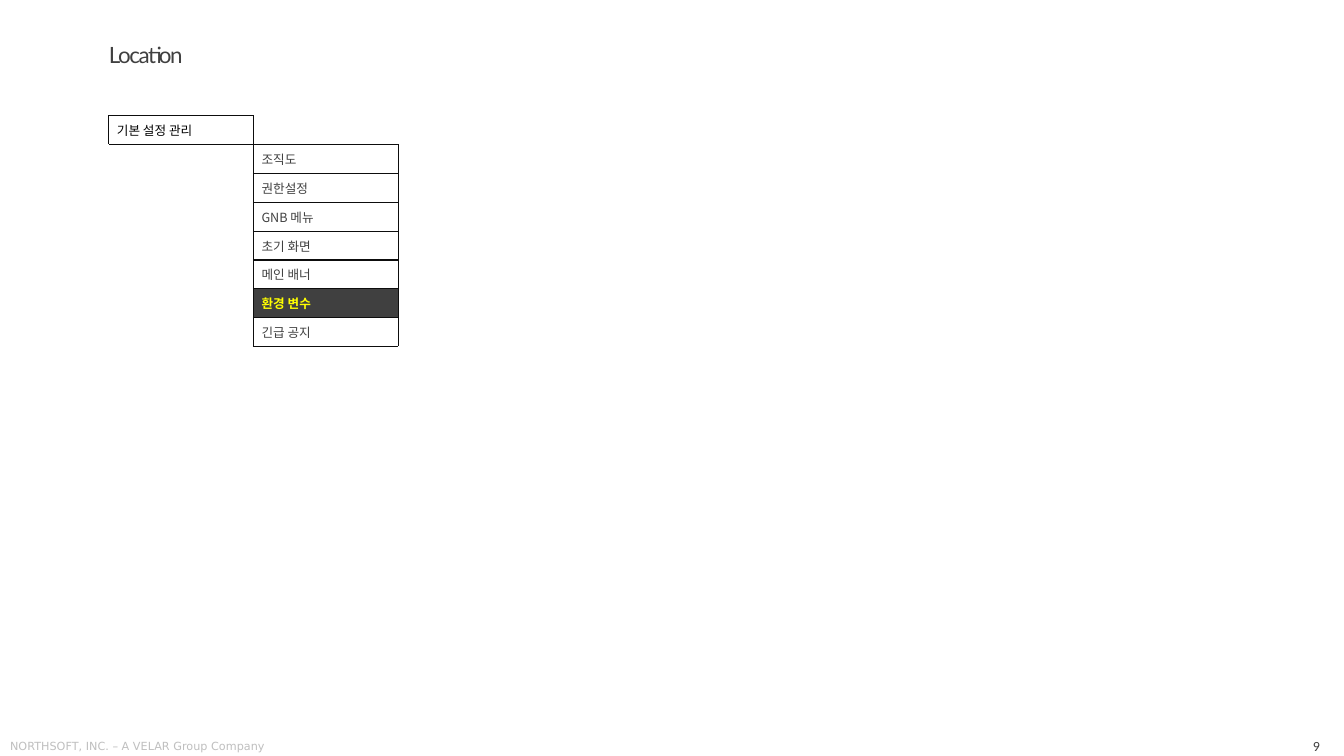
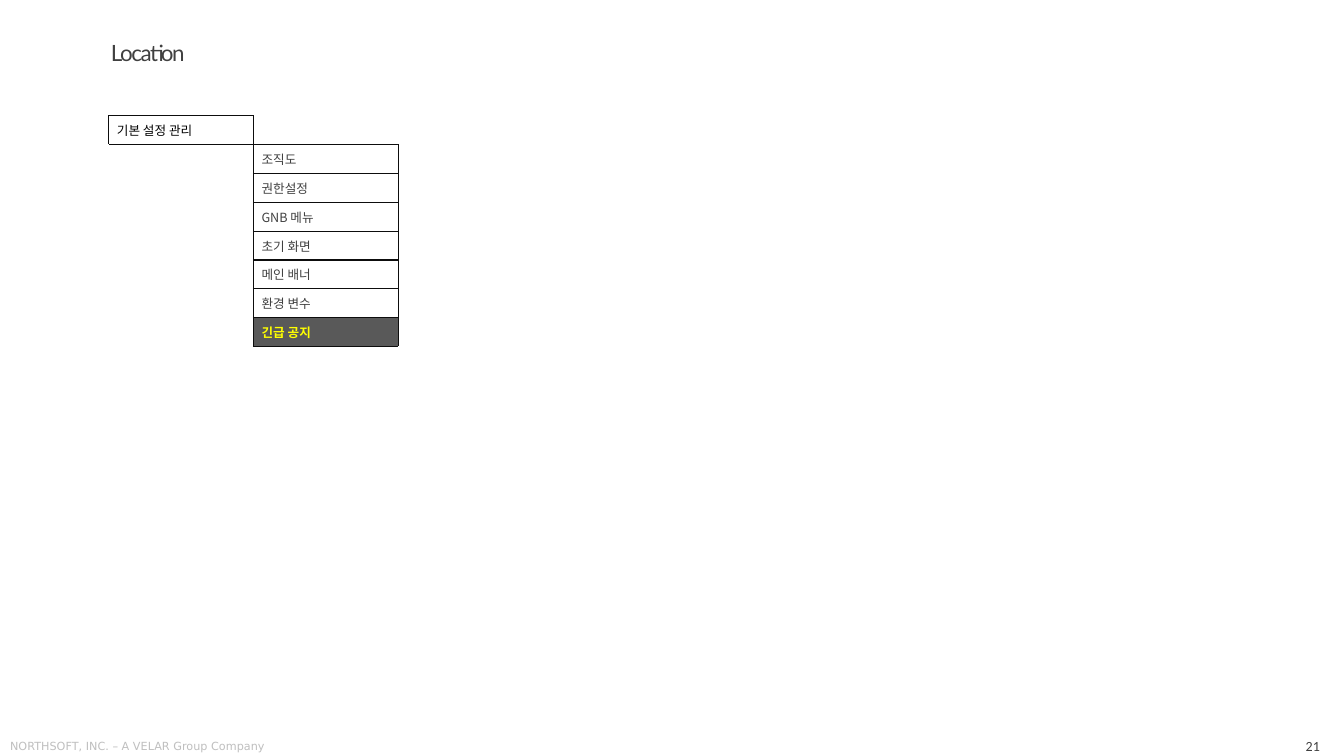
from dataclasses import dataclass

from lxml.etree import SubElement
from pptx import Presentation
from pptx.dml.color import RGBColor
from pptx.enum.text import MSO_ANCHOR, PP_ALIGN
from pptx.oxml.ns import qn
from pptx.slide import Slide
from pptx.table import Table, _Cell
from pptx.text.text import TextFrame, _Paragraph, _Run
from pptx.util import Inches, Length, Pt

SLIDE_W, SLIDE_H = 13.33, 7.5
WHITE, BLACK, RULE = "FFFFFF", "000000", "0D0D0D"
BODY, MUTED, ACCENT = "404040", "BFBFBF", "FFFF00"
TABLE_FONT = "Noto Sans CJK KR"
FOOTER = "NORTHSOFT, INC. – A VELAR Group Company"
MENU_ROOT = "기본 설정 관리"
MENU_ITEMS = ["조직도", "권한설정", "GNB 메뉴", "초기 화면", "메인 배너", "환경 변수", "긴급 공지"]
MENU_COLS, MENU_COL_W = 5, 10.76


@dataclass(frozen=True)
class Box:
    """Left, top, width and height as percentages of the slide."""
    left: float
    top: float
    width: float
    height: float

    def lengths(self) -> tuple[Length, Length, Length, Length]:
        return (share_x(self.left), share_y(self.top),
                share_x(self.width), share_y(self.height))


@dataclass(frozen=True)
class Style:
    font: str
    size: float
    color: str
    bold: bool = False


@dataclass(frozen=True)
class LocationPage:
    number: int
    title_box: Box
    active: str
    active_fill: str


MENU_BOX = Box(8.1, 15.33, 54, 30.53)
FOOTER_BOX = Box(0.45, 97.07, 26.93, 2.8)
NUMBER_BOX = Box(93.17, 97.2, 5.33, 2.8)
TITLE_STYLE = Style("Lato", 16, BODY)
FOOTER_STYLE = Style("DejaVu Sans", 8, MUTED)
NUMBER_STYLE = Style("Calibri", 10, BODY)
ROOT_STYLE = Style(TABLE_FONT, 9, BLACK)
ITEM_STYLE = Style(TABLE_FONT, 9, BODY)
ACTIVE_STYLE = Style(TABLE_FONT, 9, ACCENT, True)

PAGES = [
    LocationPage(9, Box(8.1, 5.87, 70.29, 4.8), "환경 변수", "404040"),
    LocationPage(21, Box(8.25, 5.6, 70.29, 4.8), "긴급 공지", "595959"),
]


def share_x(percent: float) -> Length:
    return Inches(SLIDE_W * percent / 100)


def share_y(percent: float) -> Length:
    return Inches(SLIDE_H * percent / 100)


def rgb(color: str) -> RGBColor:
    return RGBColor.from_string(color)


def add_run(p: _Paragraph, text: str, style: Style) -> _Run:
    r = p.add_run()
    r.text = text
    r.font.name = style.font
    r.font.size = Pt(style.size)
    r.font.bold = style.bold
    r.font.color.rgb = rgb(style.color)
    SubElement(r.font._element, qn("a:ea"), typeface=style.font)
    return r


def set_frame(tf: TextFrame, side: float, end: float, anchor: MSO_ANCHOR) -> None:
    tf.word_wrap = True
    tf.vertical_anchor = anchor
    tf.margin_left = tf.margin_right = Inches(side)
    tf.margin_top = tf.margin_bottom = Inches(end)


def add_title(s: Slide, box: Box) -> None:
    sp = s.shapes.title
    sp.left, sp.top, sp.width, sp.height = box.lengths()
    set_frame(sp.text_frame, 0, 0, MSO_ANCHOR.TOP)
    p = sp.text_frame.paragraphs[0]
    p.alignment = PP_ALIGN.LEFT
    p.line_spacing = 0.9
    p.space_before = Pt(0)
    r = add_run(p, "Location", TITLE_STYLE)
    r.font._element.set("spc", "-100")


def add_label(s: Slide, box: Box, text: str, style: Style,
              align: PP_ALIGN, anchor: MSO_ANCHOR) -> None:
    tf = s.shapes.add_textbox(*box.lengths()).text_frame
    set_frame(tf, 0.04, 0.05, anchor)
    p = tf.paragraphs[0]
    p.alignment = align
    add_run(p, text, style)


def set_border(cell: _Cell, side: str, color: str) -> None:
    ln = SubElement(cell._tc.get_or_add_tcPr(), qn(f"a:ln{side}"), w=str(Pt(1)))
    fill = SubElement(ln, qn("a:solidFill"))
    SubElement(fill, qn("a:srgbClr"), val=color)


def is_entry(row: int, col: int) -> bool:
    return (row, col) == (0, 0) or (1 <= row <= len(MENU_ITEMS) and col == 1)


def format_cell(table: Table, row: int, col: int, page: LocationPage) -> None:
    cell = table.cell(row, col)
    neighbours = {"L": (row, col - 1), "R": (row, col + 1),
                  "T": (row - 1, col), "B": (row + 1, col)}
    for side, other in neighbours.items():
        dark = is_entry(row, col) or is_entry(*other)
        set_border(cell, side, RULE if dark else WHITE)
    cell.margin_left = cell.margin_right = Inches(0.08)
    cell.margin_top = cell.margin_bottom = Inches(0.04)
    cell.vertical_anchor = MSO_ANCHOR.MIDDLE
    text = "" if not is_entry(row, col) else MENU_ITEMS[row - 1] if row else MENU_ROOT
    active = text == page.active
    cell.fill.solid()
    cell.fill.fore_color.rgb = rgb(page.active_fill if active else WHITE)
    p = cell.text_frame.paragraphs[0]
    if text:
        style = ACTIVE_STYLE if active else ITEM_STYLE if row else ROOT_STYLE
        add_run(p, text, style)
    else:
        SubElement(p._p, qn("a:endParaRPr"), sz="900")


def add_menu(s: Slide, page: LocationPage) -> None:
    rows = len(MENU_ITEMS) + 1
    table = s.shapes.add_table(rows, MENU_COLS, *MENU_BOX.lengths()).table
    table.first_row = table.horz_banding = False
    for column in table.columns:
        column.width = share_x(MENU_COL_W)
    table.columns[MENU_COLS - 1].width = share_x(
        MENU_BOX.width - MENU_COL_W * (MENU_COLS - 1))
    for row in range(rows):
        table.rows[row].height = share_y(MENU_BOX.height / rows)
        for col in range(MENU_COLS):
            format_cell(table, row, col, page)
    table.cell(1, 2).merge(table.cell(rows - 1, 2))


def main() -> None:
    prs = Presentation()
    prs.slide_width, prs.slide_height = Inches(SLIDE_W), Inches(SLIDE_H)
    for page in PAGES:
        s = prs.slides.add_slide(prs.slide_layouts.get_by_name("Title Only"))
        add_label(s, NUMBER_BOX, str(page.number), NUMBER_STYLE,
                  PP_ALIGN.RIGHT, MSO_ANCHOR.MIDDLE)
        add_label(s, FOOTER_BOX, FOOTER, FOOTER_STYLE, PP_ALIGN.LEFT, MSO_ANCHOR.TOP)
        add_title(s, page.title_box)
        add_menu(s, page)
    prs.save("out.pptx")


if __name__ == "__main__":
    main()
